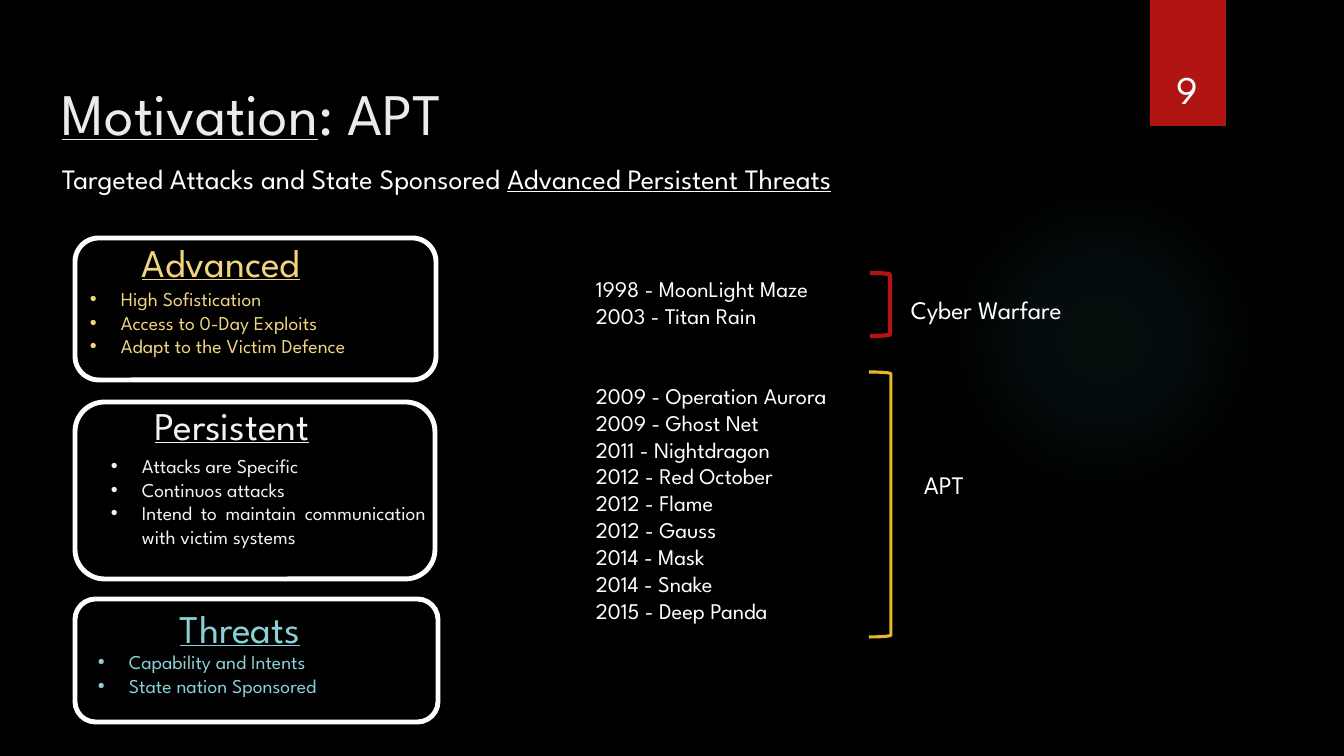
from lxml import etree
from pptx import Presentation
from pptx import util as u
from pptx.dml.color import RGBColor
from pptx.enum import shapes, text
from pptx.oxml import parse_xml
from pptx.oxml.ns import nsdecls, qn

PX = 914400 / 100.8
FONT = "League Spartan"
COLORS = {
    "black": "000000", "title": "EBEBEB", "white": "FFFFFF", "soft": "F2F2F2",
    "red": "B01513", "amber": "E6B729", "yellow": "F0D47F", "teal": "8AD0D6",
    "glow": "50B9C1",
}
SHAPE = shapes.MSO_SHAPE


def px(length):
    return u.Emu(round(length * PX))


def rgb(color):
    return RGBColor.from_string(COLORS[color])


def add_outline(slide, kind, box, fill=None, line=None, weight=0):
    shape = slide.shapes.add_shape(kind, *map(px, box))
    shape.shadow.inherit = False
    if fill:
        shape.fill.solid()
        shape.fill.fore_color.rgb = rgb(fill)
    else:
        shape.fill.background()
    if line:
        shape.line.color.rgb = rgb(line)
        shape.line.width = u.Pt(weight)
    else:
        shape.line.fill.background()
    return shape


def add_text(slide, box, lines, size, color, wrap=True):
    """Write lines; each line is a list of (words, underlined) pieces."""
    frame = slide.shapes.add_textbox(*map(px, box)).text_frame
    frame.word_wrap = wrap
    for index, pieces in enumerate(lines):
        paragraph = frame.paragraphs[0] if index == 0 else frame.add_paragraph()
        for words, underlined in pieces:
            run = paragraph.add_run()
            run.text = words
            run.font.name = FONT
            run.font.size = u.Pt(size)
            run.font.color.rgb = rgb(color)
            run.font.underline = underlined
    return frame


def plain(lines):
    return [[(line, False)] for line in lines]


def add_bullet(paragraph):
    properties = paragraph._p.get_or_add_pPr()
    properties.set("marL", str(px(31)))
    properties.set("indent", str(-px(31)))
    etree.SubElement(properties, qn("a:buFont")).set("typeface", "Arial")
    etree.SubElement(properties, qn("a:buChar")).set("char", "•")


def draw_glow(slide, box):
    glow = add_outline(slide, SHAPE.OVAL, box)
    stops = "".join(
        f'<a:gs pos="{position}000"><a:srgbClr val="{COLORS["glow"]}">'
        f'<a:alpha val="{alpha}000"/></a:srgbClr></a:gs>'
        for position, alpha in ((0, 7), (36, 6), (69, 0)))
    gradient = parse_xml(
        f'<a:gradFill {nsdecls("a")}><a:gsLst>{stops}</a:gsLst><a:path path="circle">'
        '<a:fillToRect l="50000" t="50000" r="50000" b="50000"/></a:path></a:gradFill>')
    properties = glow._element.spPr
    properties.replace(properties.find(qn("a:noFill")), gradient)


def draw_page_tab(slide, box, number):
    left, top, width, height = box
    add_outline(slide, SHAPE.RECTANGLE, box, fill="red")
    frame = add_text(slide, (left - 9, top + 32, width + 17, height - 41),
                     plain([number]), 28, "white")
    frame.vertical_anchor = text.MSO_ANCHOR.BOTTOM
    frame.paragraphs[0].alignment = text.PP_ALIGN.CENTER


def draw_heading(slide, box):
    left, top, width, height = box
    add_text(slide, (left, top, width, height),
             [[("Motivation", True), (": APT", False)]], 42, "title")
    add_text(slide, (left, top + 85, width, 50),
             [[("Targeted Attacks and State Sponsored ", False),
               ("Advanced Persistent Threats", True)]], 20, "white")


def draw_card(slide, box, name, name_at, points, points_at, color, justified=False):
    """Draw a rounded card; name_at and points_at are offsets inside it."""
    left, top, width, height = box
    add_outline(slide, SHAPE.ROUNDED_RECTANGLE, box, line="white", weight=3.5)
    add_text(slide, (left + name_at[0], top + name_at[1], 272, 52),
             [[(name, True)]], 28, color)
    frame = add_text(slide, (left + points_at[0], top + points_at[1], 335, 75),
                     plain(points), 14, color)
    for paragraph in frame.paragraphs:
        add_bullet(paragraph)
        if justified:
            paragraph.alignment = text.PP_ALIGN.JUSTIFY


def draw_timeline(slide, box, eras):
    """List the attacks of all eras, with a gap between eras."""
    attacks = [attack for era in eras for attack in era]
    frame = add_text(slide, box, plain(attacks), 16, "white")
    for era in eras[1:]:
        frame.paragraphs[attacks.index(era[0])].space_before = u.Pt(38)


def draw_era_bracket(slide, box, color, weight, label, label_at):
    left, top, width, height = box
    add_outline(slide, SHAPE.RIGHT_BRACKET, box, line=color, weight=weight)
    add_text(slide, (left + label_at[0], top + label_at[1], 200, 40),
             plain([label]), 18, "white", wrap=False)


def build_apt_slide(slide):
    slide.background.fill.solid()
    slide.background.fill.fore_color.rgb = rgb("black")
    draw_glow(slide, (949, 184, 310, 310))
    draw_page_tab(slide, (1150, 0, 76, 126), "9")
    draw_heading(slide, (52, 72, 1037, 80))

    draw_card(slide, (75, 238, 361, 142), "Advanced", (57, -5),
              ["High Sofistication", "Access to 0-Day Exploits",
               "Adapt to the Victim Defence"], (5, 44), "yellow")
    draw_card(slide, (75, 402, 360, 177), "Persistent", (70, -6),
              ["Attacks are Specific", "Continuos attacks",
               "Intend to maintain communication with victim systems"],
              (26, 47), "soft", justified=True)
    draw_card(slide, (75, 599, 363, 123), "Threats", (95, 0),
              ["Capability and Intents", "State nation Sponsored"], (13, 46), "teal")

    draw_timeline(slide, (586, 270, 270, 363), [
        ["1998 - MoonLight Maze", "2003 - Titan Rain"],
        ["2009 - Operation Aurora", "2009 - Ghost Net", "2011 - Nightdragon",
         "2012 - Red October", "2012 - Flame", "2012 - Gauss", "2014 - Mask",
         "2014 - Snake", "2015 - Deep Panda"],
    ])
    draw_era_bracket(slide, (870, 273, 20, 63), "red", 3, "Cyber Warfare", (31, 16))
    draw_era_bracket(slide, (869, 372, 22, 265), "amber", 2.25, "APT", (45, 92))


def main():
    deck = Presentation()
    deck.slide_width, deck.slide_height = px(1344), px(756)
    build_apt_slide(deck.slides.add_slide(deck.slide_layouts[6]))
    deck.save("out.pptx")


if __name__ == "__main__":
    main()
